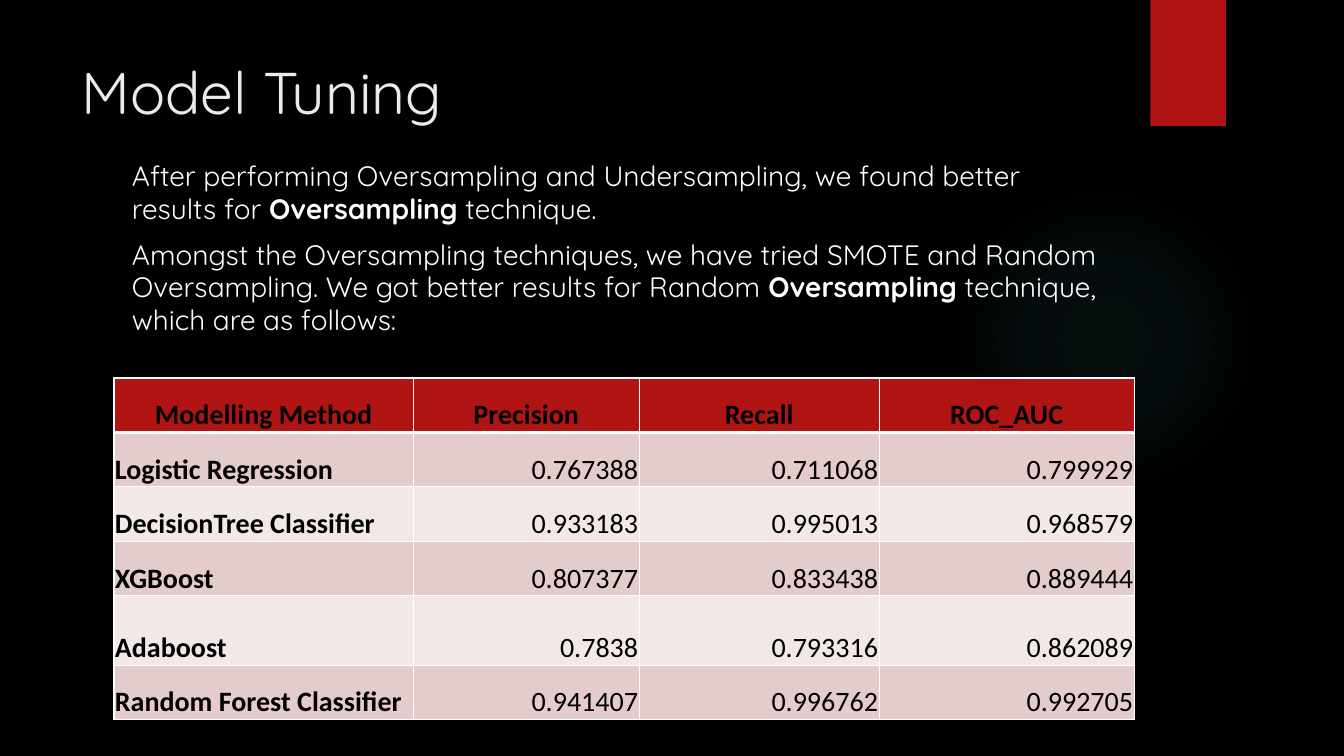
from lxml import etree
from pptx import Presentation
from pptx.dml.color import RGBColor
from pptx.enum.shapes import MSO_SHAPE as Shape
from pptx.enum.text import MSO_ANCHOR as Anchor, MSO_AUTO_SIZE as AutoSize, PP_ALIGN as Align
from pptx.oxml import parse_xml
from pptx.oxml.ns import nsdecls, qn
from pptx.util import Inches, Pt

BLACK = RGBColor(0x00, 0x00, 0x00)
WHITE = RGBColor(0xFF, 0xFF, 0xFF)
TITLE_GREY = RGBColor(0xEB, 0xEB, 0xEB)
RED = RGBColor(0xB0, 0x15, 0x13)
ROSE = RGBColor(0xE4, 0xCC, 0xCC)
PALE_ROSE = RGBColor(0xF2, 0xE8, 0xE7)
TEAL = RGBColor(0x50, 0xB9, 0xC1)

FINDINGS = [
    [("After performing Oversampling and Undersampling, we found better results for ", False),
     ("Oversampling", True), (" technique.", False)],
    [("Amongst the Oversampling techniques, we have tried SMOTE and Random Oversampling. "
      "We got better results for Random ", False),
     ("Oversampling", True), (" technique, which are as follows:", False)],
]
SCORES = [
    ("Modelling Method", "Precision", "Recall", "ROC_AUC"),
    ("Logistic Regression", "0.767388", "0.711068", "0.799929"),
    ("DecisionTree Classifier", "0.933183", "0.995013", "0.968579"),
    ("XGBoost", "0.807377", "0.833438", "0.889444"),
    ("Adaboost", "0.7838", "0.793316", "0.862089"),
    ("Random Forest Classifier", "0.941407", "0.996762", "0.992705"),
]
COLUMN_WIDTHS = [2.97, 2.24, 2.38, 2.53]
ROW_HEIGHTS = [0.54, 0.54, 0.54, 0.54, 0.69, 0.54]


def style_font(font, name, size, color, bold=False):
    font.name = name
    font.size = Pt(size)
    font.color.rgb = color
    font.bold = bold


def place(shape, box):
    shape.left, shape.top, shape.width, shape.height = map(Inches, box)


def add_decor(page, glow_box, tab_box):
    glow = page.shapes.add_shape(Shape.OVAL, *map(Inches, glow_box))
    glow.shadow.inherit = False
    glow.line.fill.background()
    stops = "".join(
        f'<a:gs pos="{pos * 1000}"><a:srgbClr val="{TEAL}"><a:alpha val="{alpha * 1000}"/></a:srgbClr></a:gs>'
        for pos, alpha in [(0, 7), (36, 6), (69, 0), (100, 0)])
    gradient = parse_xml(
        f'<a:gradFill {nsdecls("a")}><a:gsLst>{stops}</a:gsLst><a:path path="circle">'
        '<a:fillToRect l="50000" t="50000" r="50000" b="50000"/></a:path></a:gradFill>')
    glow.element.spPr.find(qn("a:prstGeom")).addnext(gradient)

    tab = page.shapes.add_shape(Shape.RECTANGLE, *map(Inches, tab_box))
    tab.shadow.inherit = False
    tab.fill.solid()
    tab.fill.fore_color.rgb = RED
    tab.line.fill.background()


def add_title(page, box, text):
    title = page.shapes.title
    place(title, box)
    frame = title.text_frame
    frame.text = text
    frame.auto_size = AutoSize.NONE
    frame.vertical_anchor = Anchor.TOP
    para = frame.paragraphs[0]
    para.alignment = Align.LEFT
    style_font(para.runs[0].font, "Quicksand", 42, TITLE_GREY)


def add_findings(page, box):
    frame = page.shapes.add_textbox(*map(Inches, box)).text_frame
    frame.word_wrap = True
    for index, spans in enumerate(FINDINGS):
        para = frame.add_paragraph() if index else frame.paragraphs[0]
        para.space_before = Pt(10)
        para.line_spacing = 0.96
        for text, bold in spans:
            span = para.add_run()
            span.text = text
            style_font(span.font, "Quicksand", 20, WHITE, bold)


def set_borders(cell, top, bottom):
    properties = cell._tc.get_or_add_tcPr()
    sides = [("lnL", 1), ("lnR", 1), ("lnT", top), ("lnB", bottom)]
    for index, (side, points) in enumerate(sides):
        line = etree.Element(qn(f"a:{side}"), w=str(Pt(points)))
        fill = etree.SubElement(line, qn("a:solidFill"))
        etree.SubElement(fill, qn("a:srgbClr"), val=str(WHITE))
        properties.insert(index, line)


def fill_cell(cell, text, row, column):
    header = row == 0
    cell.fill.solid()
    cell.fill.fore_color.rgb = RED if header else ROSE if row % 2 else PALE_ROSE
    cell.margin_left = cell.margin_right = cell.margin_top = Inches(0.01)
    cell.margin_bottom = 0
    cell.vertical_anchor = Anchor.BOTTOM
    cell.text = text
    para = cell.text_frame.paragraphs[0]
    para.alignment = Align.CENTER if header else Align.RIGHT if column else Align.LEFT
    style_font(para.runs[0].font, "Calibri", 20, BLACK, header or column == 0)
    set_borders(cell, 3 if row == 1 else 1, 3 if header else 1)


def add_scores(page, left, top):
    table = page.shapes.add_table(
        len(SCORES), len(COLUMN_WIDTHS), Inches(left), Inches(top),
        Inches(sum(COLUMN_WIDTHS)), Inches(sum(ROW_HEIGHTS))).table
    for column, width in zip(table.columns, COLUMN_WIDTHS):
        column.width = Inches(width)
    for row, height in zip(table.rows, ROW_HEIGHTS):
        row.height = Inches(height)
    for row, values in enumerate(SCORES):
        for column, text in enumerate(values):
            fill_cell(table.cell(row, column), text, row, column)


def main():
    deck = Presentation()
    deck.slide_width, deck.slide_height = Inches(13.33), Inches(7.5)
    page = deck.slides.add_slide(deck.slide_layouts[5])
    page.background.fill.solid()
    page.background.fill.fore_color.rgb = BLACK
    add_decor(page, (9.41, 1.83, 3.08, 3.08), (11.41, 0, 0.75, 1.25))
    add_title(page, (0.71, 0.5, 10.29, 1.53), "Model Tuning")
    add_findings(page, (1.21, 1.55, 9.78, 4.59))
    add_scores(page, 1.13, 3.75)
    deck.save("out.pptx")


if __name__ == "__main__":
    main()
